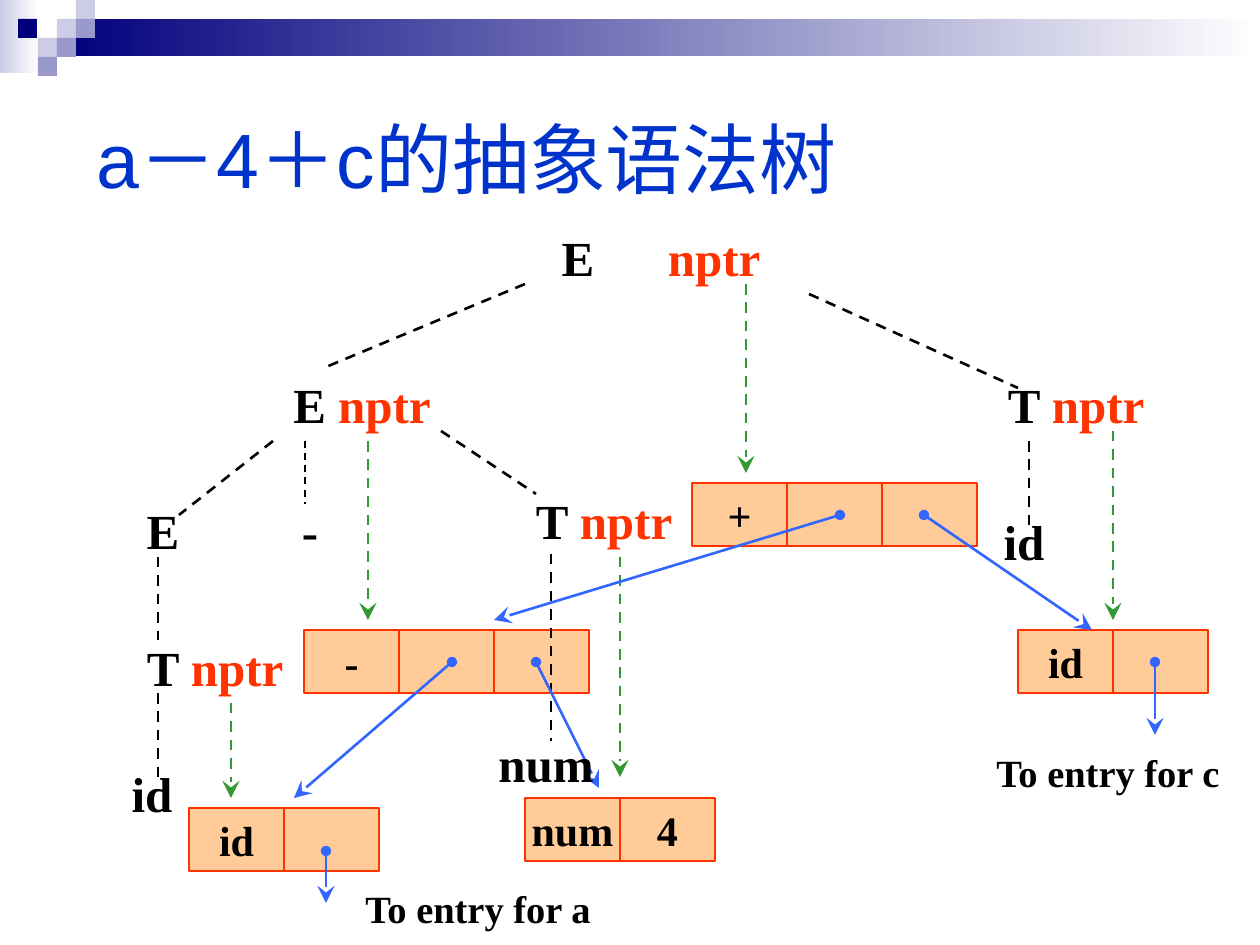
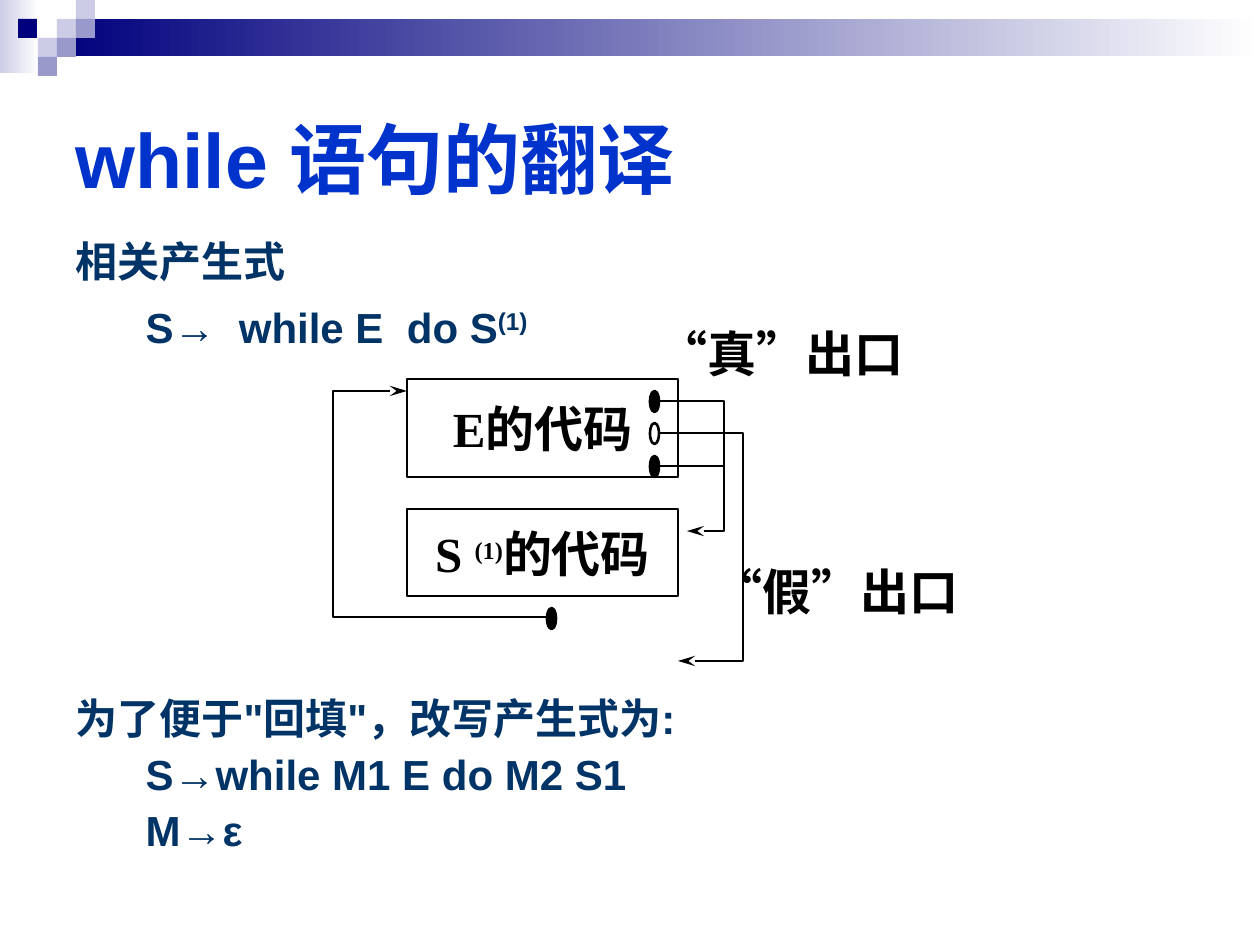
from dataclasses import dataclass

from lxml.etree import SubElement
from pptx import Presentation
from pptx.dml.color import RGBColor
from pptx.enum.dml import MSO_LINE
from pptx.enum.shapes import MSO_CONNECTOR, MSO_SHAPE
from pptx.enum.text import MSO_ANCHOR, MSO_AUTO_SIZE, PP_ALIGN
from pptx.oxml.ns import qn
from pptx.util import Emu, Pt

EMU_PER_PX = 914400 / 126
COLORS = {
    "navy": "00007D", "lilac": "CCCCE6", "violet": "9999CC", "white": "FFFFFF",
    "title": "0033CC", "body": "003366", "black": "000000", "red": "FF3300",
    "green": "339933", "blue": "3366FF", "peach": "FFCC99",
}
SANS, SERIF = "Arial", "Times New Roman"
TILE, CELL_W, CELL_H = 19, 95, 63
LABEL_W, LABEL_H = 270, 73
PRODUCTION_INDENT = 70

Point = tuple[int, int]


@dataclass(frozen=True)
class Run:
    text: str
    color: str = "black"
    size: int = 28
    superscript: bool = False
    tracking: float = 0


@dataclass(frozen=True)
class Label:
    """Text centred on a point."""
    x: int
    y: int
    runs: tuple[Run, ...]


@dataclass(frozen=True)
class Record:
    """A row of equal cells; an empty string leaves a cell blank."""
    left: int
    top: int
    fields: tuple[str, ...]


@dataclass(frozen=True)
class Edge:
    start: Point
    end: Point
    color: str = "black"
    width: float = 1.5
    dashed: bool = False
    head: str = ""
    tail: str = ""


@dataclass(frozen=True)
class BodyLine:
    runs: tuple[Run, ...]
    indent: int = 0
    before: int = 6
    spacing: float = 0.9


def px(length: float) -> Emu:
    return Emu(round(length * EMU_PER_PX))


def rgb(color: str) -> RGBColor:
    return RGBColor.from_string(COLORS[color])


def write(paragraph, text: str, *, size: int, color: str = "black", font: str = SERIF,
          bold: bool = True, superscript: bool = False, tracking: float = 0) -> None:
    run = paragraph.add_run()
    run.text = text
    run.font.size, run.font.name, run.font.bold = Pt(size), font, bold
    run.font.color.rgb = rgb(color)
    properties = run._r.get_or_add_rPr()
    if superscript:
        properties.set("baseline", "30000")
    if tracking:
        properties.set("spc", str(round(tracking * 100)))


def write_centred(shape, runs: tuple[Run, ...]) -> None:
    frame = shape.text_frame
    frame.word_wrap = False
    frame.vertical_anchor = MSO_ANCHOR.MIDDLE
    paragraph = frame.paragraphs[0]
    paragraph.alignment = PP_ALIGN.CENTER
    for run in runs:
        write(paragraph, run.text, size=run.size, color=run.color,
              superscript=run.superscript)


def place(shape, left: int, top: int, width: int, height: int) -> None:
    shape.left, shape.top, shape.width, shape.height = map(px, (left, top, width, height))


def add_block(slide, left: int, top: int, width: int, height: int, *, fill: str = "",
              fade_to: str = "", line: str = "", line_width: float = 1.5,
              kind=MSO_SHAPE.RECTANGLE):
    block = slide.shapes.add_shape(kind, *map(px, (left, top, width, height)))
    block.shadow.inherit = False
    if fade_to:
        block.fill.gradient()
        block.fill.gradient_angle = 0
        for stop, color in zip(block.fill.gradient_stops, (fill, fade_to)):
            stop.color.rgb = rgb(color)
    elif fill:
        block.fill.solid()
        block.fill.fore_color.rgb = rgb(fill)
    else:
        block.fill.background()
    if line:
        block.line.color.rgb = rgb(line)
        block.line.width = Pt(line_width)
    else:
        block.line.fill.background()
    return block


def style_line(line, color: str, width: float, head: str = "", tail: str = "",
               dashed: bool = False, tail_width: str = "lg") -> None:
    line.color.rgb = rgb(color)
    line.width = Pt(width)
    if dashed:
        line.dash_style = MSO_LINE.DASH
    if head:
        SubElement(line._get_or_add_ln(), qn("a:headEnd"), type=head)
    if tail:
        SubElement(line._get_or_add_ln(), qn("a:tailEnd"), type=tail, w=tail_width, len="lg")


def add_edge(slide, edge: Edge) -> None:
    connector = slide.shapes.add_connector(
        MSO_CONNECTOR.STRAIGHT, *map(px, (*edge.start, *edge.end)))
    style_line(connector.line, edge.color, edge.width, edge.head, edge.tail, edge.dashed)
    SubElement(connector._element.spPr, qn("a:effectLst"))


def add_jump(slide, *points: Point) -> None:
    """Draw an angled jump line with an arrowhead at its last point."""
    start, *rest = [(px(x), px(y)) for x, y in points]
    builder = slide.shapes.build_freeform(*start)
    builder.add_line_segments(rest, close=False)
    jump = builder.convert_to_shape()
    jump.shadow.inherit = False
    jump.fill.background()
    style_line(jump.line, "black", 1.5, tail="stealth", tail_width="med")


def add_exit(slide, x: int, y: int, fill: str = "black") -> None:
    add_block(slide, x - 4, y - 10, 9, 21, fill=fill, line="black", kind=MSO_SHAPE.OVAL)


def add_label(slide, label: Label) -> None:
    box = slide.shapes.add_textbox(px(label.x - LABEL_W / 2), px(label.y - LABEL_H / 2),
                                   px(LABEL_W), px(LABEL_H))
    write_centred(box, label.runs)


def add_record(slide, record: Record) -> None:
    for column, field in enumerate(record.fields):
        cell = add_block(slide, record.left + column * CELL_W, record.top, CELL_W, CELL_H,
                         fill="peach", line="red", line_width=1)
        if field:
            write_centred(cell, (Run(field, size=24),))


def add_band(slide) -> None:
    add_block(slide, 0, 0, 39, 73, fill="lilac", fade_to="white")
    add_block(slide, 57, 19, 1203, 37, fill="navy", fade_to="white")
    for left, top, color in ((57, 19, "lilac"), (76, 0, "lilac"), (76, 19, "violet"),
                             (38, 38, "lilac"), (18, 19, "navy"), (57, 38, "violet"),
                             (38, 57, "violet")):
        add_block(slide, left, top, TILE, TILE, fill=color)


def start_slide(prs, layout: int, title: str, bold: bool, indent: int = 0):
    slide = prs.slides.add_slide(prs.slide_layouts[layout])
    add_band(slide)
    place(slide.shapes.title, 63, 63, 1134, 189)
    frame = slide.shapes.title.text_frame
    frame.auto_size = MSO_AUTO_SIZE.NONE
    frame.vertical_anchor = MSO_ANCHOR.MIDDLE
    paragraph = frame.paragraphs[0]
    paragraph.alignment = PP_ALIGN.LEFT
    paragraph._p.get_or_add_pPr().set("marL", str(px(indent)))
    write(paragraph, title, size=44, color="title", font=SANS, bold=bold)
    return slide


def fill_body(body, lines: tuple[BodyLine, ...]) -> None:
    place(body, 63, 224, 1134, 665)
    frame = body.text_frame
    frame.auto_size = MSO_AUTO_SIZE.NONE
    for number, line in enumerate(lines):
        paragraph = frame.add_paragraph() if number else frame.paragraphs[0]
        properties = paragraph._p.get_or_add_pPr()
        properties.set("marL", "0")
        properties.set("indent", str(px(line.indent)))
        SubElement(properties, qn("a:buNone"))
        paragraph.alignment = PP_ALIGN.LEFT
        paragraph.line_spacing = line.spacing
        paragraph.space_before = Pt(line.before if number else 0)
        for run in line.runs:
            write(paragraph, run.text, size=24, color="body", font=SANS,
                  superscript=run.superscript, tracking=run.tracking)


def build_syntax_tree(prs) -> None:
    slide = start_slide(prs, 5, "a－4＋c的抽象语法树", bold=False, indent=21)
    nptr = Run("nptr", "red")
    expression, term = (Run("E "), nptr), (Run("T "), nptr)

    records = (
        Record(1018, 630, ("id", "")),
        Record(304, 630, ("-", "", "")),
        Record(189, 808, ("id", "")),
        Record(525, 798, ("num", "4")),
        Record(692, 483, ("+", "", "")),
    )
    for record in records:
        add_record(slide, record)

    branches = (
        ((525, 284), (326, 367)), ((273, 441), (179, 515)), ((809, 294), (1018, 388)),
        ((158, 557), (158, 640)), ((158, 693), (158, 777)), ((441, 431), (536, 494)),
        ((1029, 441), (1029, 525)), ((551, 554), (551, 741)),
    )
    for start, end in branches:
        add_edge(slide, Edge(start, end, dashed=True))
    add_edge(slide, Edge((305, 441), (305, 504), width=1, dashed=True))

    for x, top, bottom in ((746, 284, 473), (368, 441, 620), (620, 557, 777),
                           (1113, 431, 620), (231, 703, 798)):
        add_edge(slide, Edge((x, top), (x, bottom), "green", dashed=True, tail="stealth"))

    pointers = (
        ((452, 662), (294, 798)), ((536, 662), (599, 788)), ((840, 515), (494, 620)),
        ((924, 515), (1092, 630)), ((326, 851), (326, 903)), ((1155, 662), (1155, 735)),
    )
    for start, end in pointers:
        add_edge(slide, Edge(start, end, "blue", head="oval", tail="stealth"))

    labels = (
        Label(578, 257, (Run("E"),)), Label(714, 257, (nptr,)),
        Label(362, 404, expression), Label(1076, 404, term),
        Label(163, 530, (Run("E"),)), Label(310, 530, (Run("-"),)),
        Label(604, 520, term), Label(1024, 541, (Run("id"),)),
        Label(215, 667, term), Label(152, 793, (Run("id"),)),
        Label(546, 763, (Run("num"),)),
        Label(478, 908, (Run("To entry for a", size=22),)),
        Label(1108, 772, (Run("To entry for c", size=22),)),
    )
    for label in labels:
        add_label(slide, label)


def build_while_translation(prs) -> None:
    slide = start_slide(prs, 1, "while 语句的翻译", bold=True)
    wide_space = Run(" ", tracking=6.67)
    fill_body(slide.placeholders[1], (
        BodyLine((Run("相关产生式"),), spacing=1.1),
        BodyLine((Run("S→"), wide_space, Run("while E"), wide_space, Run("do S"),
                  Run("(1)", superscript=True)), PRODUCTION_INDENT, spacing=1.1),
        BodyLine((Run('为了便于"回填"，改写产生式为:'),), before=198),
        BodyLine((Run("S→while M1 E do M2 S1"),), PRODUCTION_INDENT),
        BodyLine((Run("M→ε"),), PRODUCTION_INDENT),
    ))

    condition = add_block(slide, 407, 379, 271, 98, line="black")
    write_centred(condition, (Run("E的代码"),))
    loop_body = add_block(slide, 407, 509, 271, 87, line="black")
    write_centred(loop_body, (Run("S "), Run("(1)", size=24, superscript=True),
                              Run("的代码")))

    add_jump(slide, (659, 433), (743, 433), (743, 661), (678, 661))
    add_jump(slide, (659, 401), (724, 401), (724, 531), (687, 531))
    add_jump(slide, (547, 617), (333, 617), (333, 391), (407, 391))
    add_edge(slide, Edge((659, 466), (724, 466)))
    add_exit(slide, 654, 433, fill="")
    for x, y in ((654, 401), (654, 466), (551, 618)):
        add_exit(slide, x, y)

    add_label(slide, Label(781, 353, (Run("“真”出口"),)))
    add_label(slide, Label(836, 591, (Run("“假”出口"),)))


def main() -> None:
    prs = Presentation()
    prs.slide_width, prs.slide_height = px(1260), px(945)
    build_syntax_tree(prs)
    build_while_translation(prs)
    prs.save("out.pptx")


if __name__ == "__main__":
    main()
